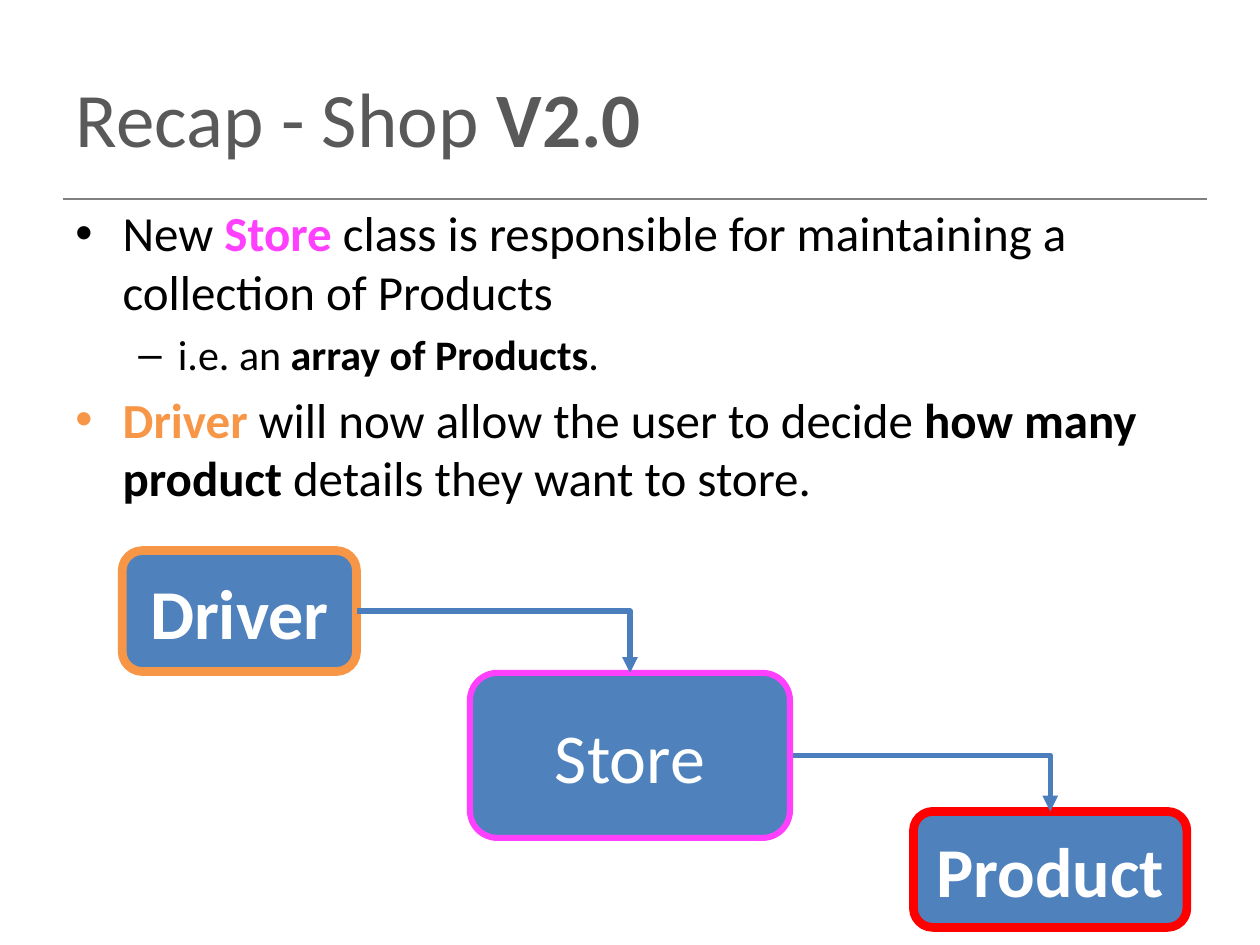
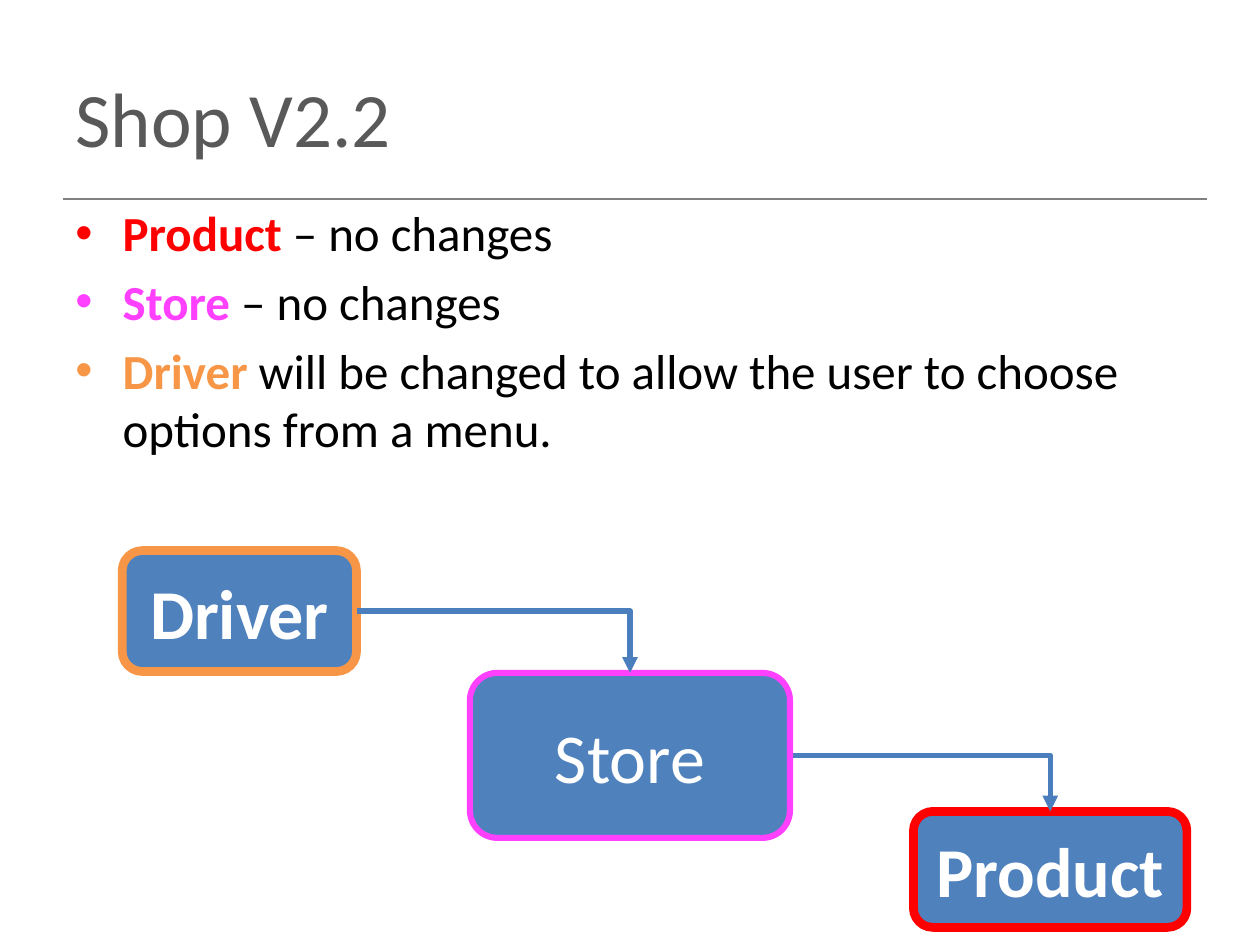
from dataclasses import dataclass

from lxml.etree import SubElement
from pptx import Presentation
from pptx.dml.color import RGBColor
from pptx.enum.shapes import MSO_CONNECTOR, MSO_SHAPE
from pptx.enum.text import MSO_ANCHOR, MSO_AUTO_SIZE, PP_ALIGN
from pptx.oxml.ns import qn
from pptx.util import Inches, Pt

SLIDE_WIDTH, SLIDE_HEIGHT = Inches(10), Inches(7.5)
COLUMN, ROW = SLIDE_WIDTH / 100, SLIDE_HEIGHT / 75
FONT = "Calibri"
BLACK, WHITE, GREY, RULE_GREY = "000000", "FFFFFF", "595959", "808080"
BOX_BLUE, ARROW_BLUE = "4F81BD", "4B7EBC"
DRIVER, STORE, PRODUCT = "F79646", "FF40FF", "FF0000"
BULLETS = [("•", 28, 3.75, 3.75), ("–", 24, 8.13, 3.13)]


@dataclass
class Box:
    left: float
    top: float
    width: float
    height: float

    def inside(self, left, top, width, height):
        return Box(self.left + left, self.top + top, width, height)

    def lengths(self):
        return (round(self.left * COLUMN), round(self.top * ROW),
                round(self.width * COLUMN), round(self.height * ROW))


TITLE_BOX = Box(5, 3, 90, 12.5)
BODY_BOX = Box(5, 15.6, 90.8, 49.5)
DIAGRAM_BOX = Box(9.7, 43.7, 84.5, 29.9)


def colour(value):
    return RGBColor.from_string(value)


def style_font(font, size, value, bold=None):
    font.name = FONT
    font.size = Pt(size)
    font.color.rgb = colour(value)
    font.bold = bold


def add_runs(paragraph, runs):
    for text, bold, value in runs:
        run = paragraph.add_run()
        run.text = text
        run.font.bold = bold
        if value:
            run.font.color.rgb = colour(value)


def plain(text):
    return text, False, None


def strong(text, value=None):
    return text, True, value


def add_line(slide, kind, start, end, value, width):
    connector = slide.shapes.add_connector(kind, *start, *end)
    connector.line.color.rgb = colour(value)
    connector.line.width = Pt(width)
    SubElement(connector.element.spPr, qn("a:effectLst"))
    return connector


def add_title(slide, box, runs):
    left, top, width, height = box.lengths()
    title = slide.shapes.title
    title.left, title.top, title.width, title.height = left, top, width, height
    frame = title.text_frame
    frame.auto_size = MSO_AUTO_SIZE.NONE
    frame.vertical_anchor = MSO_ANCHOR.MIDDLE
    paragraph = frame.paragraphs[0]
    paragraph.alignment = PP_ALIGN.LEFT
    style_font(paragraph.font, 44, GREY)
    add_runs(paragraph, runs)
    rule_top = round(15.8 * ROW)
    add_line(slide, MSO_CONNECTOR.STRAIGHT, (left, rule_top),
             (round(95.8 * COLUMN), rule_top), RULE_GREY, 1)


def add_bullet(paragraph, character, value, margin, hanging):
    properties = paragraph._p.get_or_add_pPr()
    properties.set("marL", str(round(margin * COLUMN)))
    properties.set("indent", str(round(-hanging * COLUMN)))
    bullet_colour = SubElement(properties, qn("a:buClr"))
    SubElement(bullet_colour, qn("a:srgbClr"), val=value)
    SubElement(properties, qn("a:buFont"), typeface="Arial")
    SubElement(properties, qn("a:buChar"), char=character)


def add_body(slide, box, points):
    frame = slide.shapes.add_textbox(*box.lengths()).text_frame
    frame.word_wrap = True
    for index, (level, runs) in enumerate(points):
        paragraph = frame.add_paragraph() if index else frame.paragraphs[0]
        character, size, margin, hanging = BULLETS[level]
        add_bullet(paragraph, character, runs[0][2] or BLACK, margin, hanging)
        paragraph.level = level
        if index:
            paragraph.space_before = Pt(size * 0.2)
        style_font(paragraph.font, size, BLACK)
        add_runs(paragraph, runs)


def add_class(slide, box, name, outline, width, bold):
    shape = slide.shapes.add_shape(MSO_SHAPE.ROUNDED_RECTANGLE, *box.lengths())
    shape.shadow.inherit = False
    shape.fill.solid()
    shape.fill.fore_color.rgb = colour(BOX_BLUE)
    shape.line.color.rgb = colour(outline)
    shape.line.width = Pt(width)
    frame = shape.text_frame
    frame.vertical_anchor = MSO_ANCHOR.MIDDLE
    paragraph = frame.paragraphs[0]
    paragraph.text = name
    paragraph.alignment = PP_ALIGN.CENTER
    style_font(paragraph.font, 40, WHITE, bold)
    return shape


def add_arrow(slide, source, target):
    start = source.left + source.width, source.top + source.height // 2
    end = target.left + target.width // 2, target.top
    arrow = add_line(slide, MSO_CONNECTOR.ELBOW, start, end, ARROW_BLUE, 3)
    arrow.begin_connect(source, 3)
    arrow.end_connect(target, 0)
    arrow.element.spPr.find(qn("a:prstGeom")).set("prst", "bentConnector2")
    SubElement(arrow.line._get_or_add_ln(), qn("a:tailEnd"), type="triangle")
    return arrow


def add_diagram(slide, box):
    driver = add_class(slide, box.inside(0, 0, 18.6, 9.6), "Driver", DRIVER, 5, True)
    product = add_class(slide, box.inside(62.8, 20.7, 21.7, 9.2), "Product", PRODUCT, 5, True)
    store = add_class(slide, box.inside(27.6, 9.7, 25.4, 13.1), "Store", STORE, 3.5, False)
    product_arrow = add_arrow(slide, store, product)
    store.element.addprevious(product_arrow.element)
    add_arrow(slide, driver, store)


def add_shop_slide(presentation, title_runs, points):
    slide = presentation.slides.add_slide(presentation.slide_layouts[5])
    add_title(slide, TITLE_BOX, title_runs)
    add_body(slide, BODY_BOX, points)
    add_diagram(slide, DIAGRAM_BOX)


def main():
    presentation = Presentation()
    presentation.slide_width, presentation.slide_height = SLIDE_WIDTH, SLIDE_HEIGHT
    add_shop_slide(presentation, [plain("Recap - Shop "), strong("V2.0")], [
        (0, [plain("New "), strong("Store ", STORE),
             plain("class is responsible for maintaining a collection of Products")]),
        (1, [plain("i.e. an "), strong("array of Products"), plain(".")]),
        (0, [strong("Driver ", DRIVER), plain("will now allow the user to decide "),
             strong("how many product "), plain("details they want to store.")]),
    ])
    add_shop_slide(presentation, [plain("Shop V2.2")], [
        (0, [strong("Product", PRODUCT), plain(" – no changes")]),
        (0, [strong("Store", STORE), plain(" – no changes")]),
        (0, [strong("Driver ", DRIVER),
             plain("will be changed to allow the user to choose options from a menu.")]),
    ])
    presentation.save("out.pptx")


if __name__ == "__main__":
    main()
